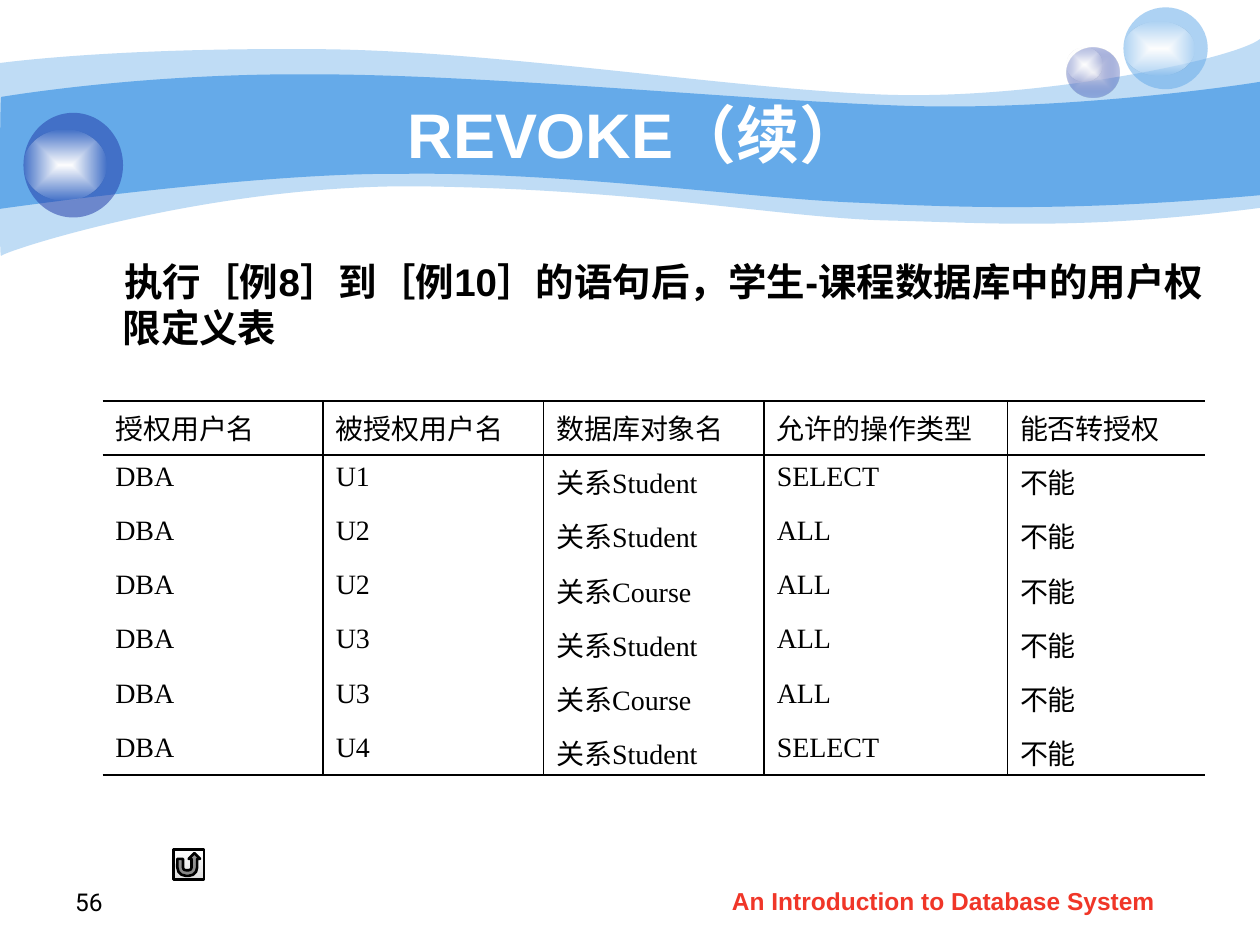
import pptx
import pptx.util
import pptx.dml.color
import pptx.enum.shapes
import pptx.enum.text
import pptx.oxml
import pptx.oxml.ns

Pt = pptx.util.Pt
MSO = pptx.enum.shapes.MSO_SHAPE
ALIGN = pptx.enum.text.PP_ALIGN
ANCHOR = pptx.enum.text.MSO_ANCHOR
NS = pptx.oxml.ns.nsdecls("a")


def rgb(color):
    return pptx.dml.color.RGBColor.from_string(color)


def paint(sp, stops, shade=""):
    sp.shadow.inherit = False
    sp.line.fill.background()
    sp.fill.background()
    colors = [f'<a:srgbClr val="{c}"><a:alpha val="{a * 1000}"/></a:srgbClr>' for c, a in stops]
    if len(colors) == 1:
        xml = f"<a:solidFill {NS}>{colors[0]}</a:solidFill>"
    else:
        xml = (f'<a:gradFill {NS} rotWithShape="1"><a:gsLst><a:gs pos="0">{colors[0]}</a:gs>'
               f'<a:gs pos="100000">{colors[1]}</a:gs></a:gsLst>{shade}</a:gradFill>')
    spPr = sp._element.spPr
    spPr.replace(spPr.find(pptx.oxml.ns.qn("a:noFill")), pptx.oxml.parse_xml(xml))


prs = pptx.Presentation()
prs.slide_width, prs.slide_height = Pt(720), Pt(540)
s = prs.slides.add_slide(prs.slide_layouts[6])

waves = [
    (41, (0, 36), [
        (17.3, 33.8, 77, 27.4, 177.8, 28.1),
        (277.9, 28.1, 414, 50.4, 503.3, 54),
        (591.8, 57.6, 705.6, 33.8, 720, 22.3),
        (720, 118.8),
        (617.8, 131.8, 566.6, 127.4, 507.6, 126),
        (447.8, 124.6, 370.8, 108.7, 247, 106.6),
        (123.8, 103.7, 2.9, 143.3, 0.7, 146.2),
        (-0.7, 149.8, 0, 54, 0, 36)]),
    (100, (0.7, 55.4), [
        (1.4, 55.4, 79.2, 41.8, 178.6, 42.5),
        (277.9, 42.5, 428.4, 57.6, 517, 60.5),
        (605.5, 63.4, 702.7, 49.7, 720, 46.8),
        (720, 111.6),
        (614.2, 121, 550.8, 118.8, 491, 115.9),
        (431.3, 113.8, 321.8, 97.9, 228.2, 99.4),
        (146.2, 98.6, -1.4, 119.5, -0.7, 119.5),
        (0, 119.5, 0, 55.4, 0.7, 55.4)]),
]
for alpha, start, segments in waves:
    builder = s.shapes.build_freeform(Pt(start[0]), Pt(start[1]))
    builder.add_line_segments([(Pt(seg[-2]), Pt(seg[-1])) for seg in segments], close=True)
    sp = builder.convert_to_shape()
    paint(sp, [("65AAE9", alpha)])
    for line, seg in zip(sp._element.xpath(".//a:lnTo"), segments):
        if len(seg) == 6:
            pts = "".join(f'<a:pt x="{Pt(x) - sp.left}" y="{Pt(y) - sp.top}"/>'
                          for x, y in zip(seg[::2], seg[1::2]))
            curve = pptx.oxml.parse_xml(f"<a:cubicBezTo {NS}>{pts}</a:cubicBezTo>")
            line.getparent().replace(line, curve)

radial = '<a:path path="shape"><a:fillToRect l="50000" t="50000" r="50000" b="50000"/></a:path>'
glow = [("FFFFFF", 100), ("FFFFFF", 0)]
balls = [
    ((609.6, 27.2, 30.2, 28.8), [("E1E2ED", 100), ("233DA9", 31)]),
    ((609.6, 27.2, 20.2, 19.4), glow),
    ((642, 4.2, 48.2, 46.8), [("65AAE9", 53)]),
    ((642, 12.2, 40.3, 31), glow),
    ((13.4, 64.5, 56.9, 59.8), [("233DA9", 53)]),
    ((13.4, 74.2, 47.5, 40.3), glow),
]
for box, stops in balls:
    paint(s.shapes.add_shape(MSO.OVAL, *map(Pt, box)), stops, radial)

texts = [
    ("An Introduction to Database System", (411.2, 502.6, 283.7, 25.2), "Arial", 14, "F03628", True,
     ALIGN.LEFT, ANCHOR.TOP, 0, 0),
    ("56", (19.7, 491, 46.1, 36), "Roboto", 14, "000000", False, ALIGN.RIGHT, ANCHOR.BOTTOM, 0, 0),
    ("REVOKE（续）", (72, 54, 581.8, 44.6), "Arial", 36, "FFFFFF", True, ALIGN.CENTER, ANCHOR.MIDDLE, 0, 0),
    ("执行［例8］到［例10］的语句后，学生-课程数据库中的用户权限定义表", (36, 144, 658.8, 86.4),
     "Arial", 22, "000000", True, ALIGN.JUSTIFY, ANCHOR.TOP, 27, 1),
]
for text, box, font, size, color, bold, align, anchor, margin, indent in texts:
    tf = s.shapes.add_textbox(*map(Pt, box)).text_frame
    tf.word_wrap = True
    tf.vertical_anchor = anchor
    p = tf.paragraphs[0]
    p.text = text
    p.alignment = align
    pPr = p._p.get_or_add_pPr()
    pPr.set("marL", str(Pt(margin)))
    pPr.set("indent", str(Pt(indent)))
    p.font.name, p.font.size, p.font.bold = font, Pt(size), bold
    p.font.color.rgb = rgb(color)

rows = [("授权用户名", "被授权用户名", "数据库对象名", "允许的操作类型", "能否转授权")]
for user, relation, action in [
    ("U1", "Student", "SELECT"),
    ("U2", "Student", "ALL"),
    ("U2", "Course", "ALL"),
    ("U3", "Student", "ALL"),
    ("U3", "Course", "ALL"),
    ("U4", "Student", "SELECT"),
]:
    rows.append(("DBA", user, "关系" + relation, action, "不能"))
widths = [126, 126, 126, 139, 113]
last_row, last_col = len(rows) - 1, len(widths) - 1
table = s.shapes.add_table(len(rows), len(widths), Pt(58.7), Pt(229), Pt(sum(widths)), Pt(214)).table
table.horz_banding = False
table.first_row = False
for column, width in zip(table.columns, widths):
    column.width = Pt(width)
for i, values in enumerate(rows):
    table.rows[i].height = Pt(28 if i == last_row else 31)
    for j, value in enumerate(values):
        cell = table.cell(i, j)
        cell.fill.background()
        p = cell.text_frame.paragraphs[0]
        p.text = value
        pPr = p._p.get_or_add_pPr()
        pPr.set("marL", str(Pt(27)))
        pPr.set("indent", str(Pt(-27)))
        p.font.name, p.font.size = "Times New Roman", Pt(16)
        p.font.color.rgb = rgb("000000")
        borders = {"L": j > 0, "R": j < last_col, "T": i < 2, "B": i in (0, last_row)}
        tcPr = cell._tc.get_or_add_tcPr()
        for k, (side, shown) in enumerate(borders.items()):
            ink = '<a:solidFill><a:srgbClr val="000000"/></a:solidFill>' if shown else "<a:noFill/>"
            tcPr.insert(k, pptx.oxml.parse_xml(f'<a:ln{side} {NS} w="12700">{ink}</a:ln{side}>'))

sp = s.shapes.add_shape(MSO.ACTION_BUTTON_RETURN, Pt(99.2), Pt(485.4), Pt(17.3), Pt(17.3))
paint(sp, [("FFFFFF", 100), ("DFDFDF", 100)], '<a:lin ang="5400000" scaled="0"/>')
sp.line.color.rgb = rgb("000000")
sp.line.width = Pt(1.5)

prs.save("out.pptx")
